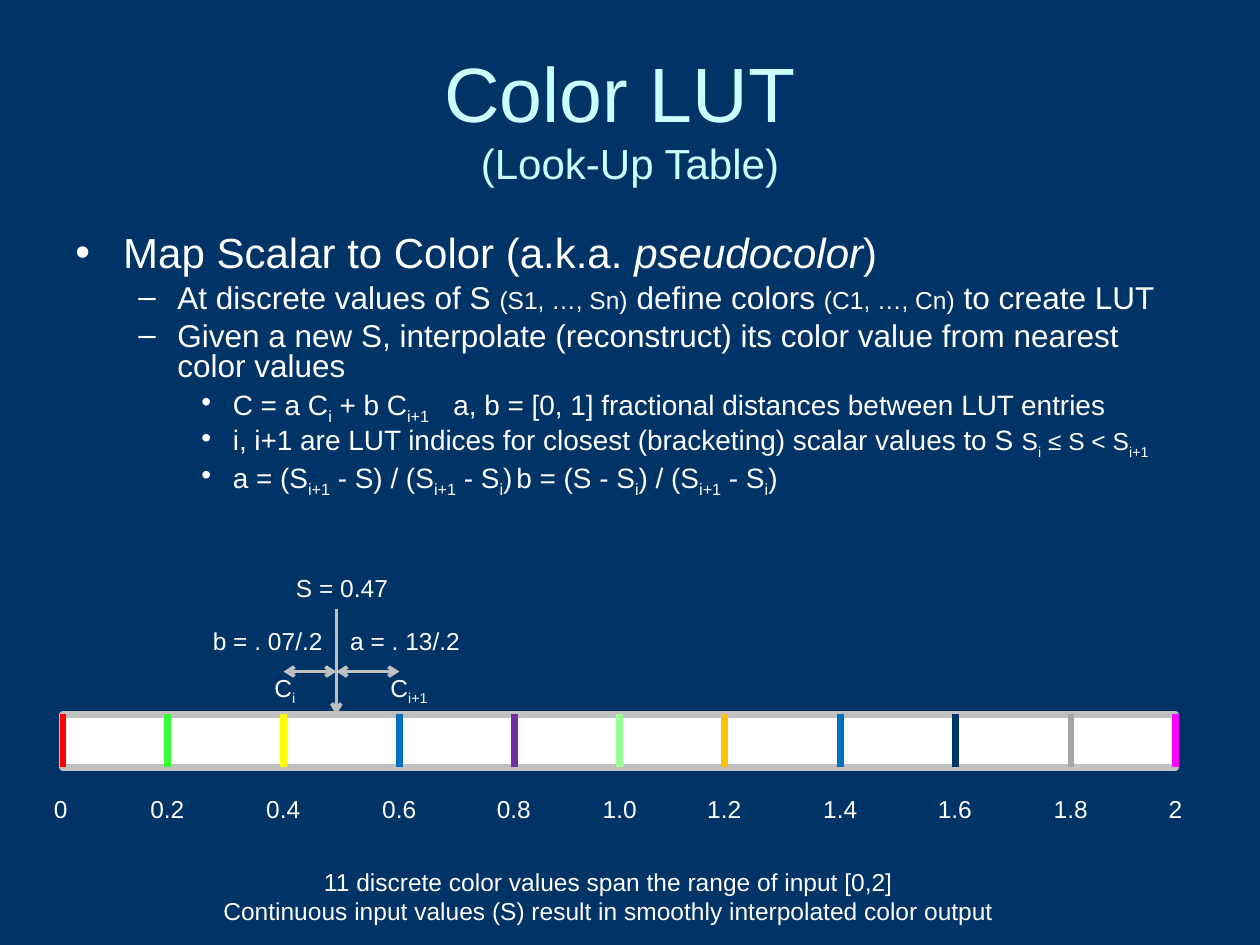
from dataclasses import dataclass

from lxml.etree import SubElement
from pptx import Presentation
from pptx.dml.color import RGBColor
from pptx.enum.shapes import MSO_CONNECTOR as Connector, MSO_SHAPE as Shape
from pptx.enum.text import MSO_ANCHOR as Anchor, PP_ALIGN as Align
from pptx.oxml.ns import qn
from pptx.util import Inches, Pt

NAVY = RGBColor(0x00, 0x33, 0x66)
PALE_CYAN = RGBColor(0xCC, 0xFF, 0xFF)
WHITE = RGBColor(0xFF, 0xFF, 0xFF)
SILVER = RGBColor(0xC0, 0xC0, 0xC0)
RED = RGBColor(0xFF, 0x00, 0x00)
GREEN = RGBColor(0x37, 0xFF, 0x37)
YELLOW = RGBColor(0xFF, 0xFF, 0x00)
BLUE = RGBColor(0x00, 0x70, 0xC0)
PURPLE = RGBColor(0x70, 0x30, 0xA0)
LIGHT_GREEN = RGBColor(0x99, 0xFF, 0x99)
AMBER = RGBColor(0xFF, 0xC0, 0x00)
GRAY = RGBColor(0xA6, 0xA6, 0xA6)
MAGENTA = RGBColor(0xFF, 0x00, 0xFF)

FONT = "Arial"
INSET = 0.1
BAR_LEFT, BAR_TOP, BAR_WIDTH, BAR_HEIGHT = 0.5, 5.67, 8.83, 0.42
SAMPLE_X = 2.67
ARROW_Y = 5.33


@dataclass(frozen=True)
class Run:
    text: str  # parts between ~ marks are subscripts
    size: float
    italic: bool = False


@dataclass(frozen=True)
class Bullet:
    level: int
    runs: tuple[Run, ...]
    before: float


@dataclass(frozen=True)
class BulletStyle:
    char: str
    margin: float
    hanging: float
    spacing: float


@dataclass(frozen=True)
class Entry:
    label: str
    x: float
    color: RGBColor


@dataclass(frozen=True)
class Label:
    text: str
    x: float
    y: float
    w: float
    h: float = 0.34
    align: Align = Align.LEFT


STYLES = (
    BulletStyle("•", 0.38, 0.38, 1.0),
    BulletStyle("–", 0.81, 0.31, 0.8),
    BulletStyle("•", 1.25, 0.25, 0.8),
)

BULLETS = (
    Bullet(0, (Run("Map Scalar to Color (a.k.a. ", 24), Run("pseudocolor", 24, True),
               Run(")", 24)), 6),
    Bullet(1, (Run("At discrete values of S ", 18), Run("(S1, …, Sn)", 14),
               Run(" define colors ", 18), Run("(C1, …, Cn)", 14),
               Run(" to create LUT", 18)), 4.5),
    Bullet(1, (Run("Given a new S, interpolate (reconstruct) its color value "
                   "from nearest color values", 18),), 4.5),
    Bullet(2, (Run("C = a C~i~ + b C~i+1~\ta, b = [0, 1] fractional distances "
                   "between LUT entries", 16),), 4),
    Bullet(2, (Run("i, i+1 are LUT indices for closest (bracketing) scalar "
                   "values to S ", 16), Run("S~i~ ≤ S < S~i+1~", 14)), 3.5),
    Bullet(2, (Run("a = (S~i+1~ - S) / (S~i+1~ - S~i~)\t"
                   "b = (S - S~i~) / (S~i+1~ - S~i~)", 16),), 4),
)

ENTRIES = (
    Entry("0", 0.5, RED),
    Entry("0.2", 1.33, GREEN),
    Entry("0.4", 2.25, YELLOW),
    Entry("0.6", 3.17, BLUE),
    Entry("0.8", 4.08, PURPLE),
    Entry("1.0", 4.92, LIGHT_GREEN),
    Entry("1.2", 5.75, AMBER),
    Entry("1.4", 6.67, BLUE),
    Entry("1.6", 7.58, NAVY),
    Entry("1.8", 8.5, GRAY),
    Entry("2", 9.33, MAGENTA),
)

LABELS = (
    Label("S = 0.47", 2.25, 4.5, 1.08),
    Label("b = . 07/.2", 1.58, 4.92, 1.08, align=Align.RIGHT),
    Label("a = . 13/.2", 2.67, 4.92, 1.08, align=Align.RIGHT),
    Label("C~i~", 2.08, 5.29, 0.42, 0.37),
    Label("C~i+1~", 3, 5.29, 0.58, 0.37),
)


def add_text(p, text: str, *, size: float = 14, color: RGBColor = WHITE,
             italic: bool = False) -> None:
    """Append formatted text to a paragraph; ~ marks enclose subscripts."""
    for i, part in enumerate(text.split("~")):
        if not part:
            continue
        r = p.add_run()
        r.text = part
        r.font.name, r.font.size, r.font.italic = FONT, Pt(size), italic
        r.font.color.rgb = color
        if i % 2:
            r._r.get_or_add_rPr().set("baseline", "-25000")


def add_box(s, x: float, y: float, w: float, h: float, anchor: Anchor = Anchor.TOP):
    tf = s.shapes.add_textbox(Inches(x), Inches(y), Inches(w), Inches(h)).text_frame
    tf.word_wrap = True
    tf.vertical_anchor = anchor
    return tf


def add_line(s, x1: float, y1: float, x2: float, y2: float, *, color: RGBColor = SILVER,
             width: float = 2, ends: tuple[str, ...] = ()) -> None:
    """Draw a line with arrowheads at the named ends (headEnd, tailEnd)."""
    line = s.shapes.add_connector(Connector.STRAIGHT, Inches(x1), Inches(y1),
                                  Inches(x2), Inches(y2))
    line.line.color.rgb = color
    line.line.width = Pt(width)
    for end in ends:
        SubElement(line.line._get_or_add_ln(), qn(f"a:{end}"), type="arrow")
    SubElement(line._element.spPr, qn("a:effectLst"))


def format_bullet(p, bullet: Bullet) -> None:
    style = STYLES[bullet.level]
    p.level = bullet.level
    p.line_spacing = style.spacing
    p.space_before = Pt(bullet.before)
    pPr = p._p.get_or_add_pPr()
    pPr.set("marL", str(Inches(style.margin)))
    pPr.set("indent", str(-Inches(style.hanging)))
    SubElement(SubElement(pPr, qn("a:buClr")), qn("a:srgbClr"), val=str(WHITE))
    SubElement(pPr, qn("a:buFont"), typeface=FONT)
    SubElement(pPr, qn("a:buChar"), char=style.char)


def add_title(s) -> None:
    p = add_box(s, 0.5, 0.3, 9, 1.25, Anchor.MIDDLE).paragraphs[0]
    p.alignment = Align.CENTER
    add_text(p, "Color LUT ", size=44, color=PALE_CYAN)
    p.add_line_break()
    add_text(p, "(Look-Up Table)", size=24, color=PALE_CYAN)


def add_bullets(s) -> None:
    tf = add_box(s, 0.5, 1.75, 9, 2.5)
    for i, bullet in enumerate(BULLETS):
        p = tf.add_paragraph() if i else tf.paragraphs[0]
        format_bullet(p, bullet)
        for run in bullet.runs:
            add_text(p, run.text, size=run.size, italic=run.italic)


def add_color_bar(s) -> None:
    bar = s.shapes.add_shape(Shape.RECTANGLE, Inches(BAR_LEFT), Inches(BAR_TOP),
                             Inches(BAR_WIDTH), Inches(BAR_HEIGHT))
    bar.shadow.inherit = False
    bar.fill.solid()
    bar.fill.fore_color.rgb = WHITE
    bar.line.color.rgb = SILVER
    bar.line.width = Pt(4)
    SubElement(bar.line._get_or_add_ln(), qn("a:round"))
    for entry in ENTRIES:
        add_line(s, entry.x, BAR_TOP, entry.x, BAR_TOP + BAR_HEIGHT,
                 color=entry.color, width=4)


def add_scale(s) -> None:
    """Label the entries in one line, centred on tab stops below the ticks."""
    left = 0.33
    p = add_box(s, left, 6.25, 9.25, 0.34).paragraphs[0]
    tabs = SubElement(p._p.get_or_add_pPr(), qn("a:tabLst"))
    for entry in ENTRIES[1:]:
        SubElement(tabs, qn("a:tab"), pos=str(Inches(entry.x - left - INSET)), algn="ctr")
    add_text(p, "\t".join(entry.label for entry in ENTRIES))


def add_sample(s) -> None:
    add_line(s, SAMPLE_X, 4.83, SAMPLE_X, BAR_TOP, ends=("tailEnd",))
    for x1, x2 in ((2.25, SAMPLE_X), (SAMPLE_X, 3.17)):
        add_line(s, x1, ARROW_Y, x2, ARROW_Y, ends=("headEnd", "tailEnd"))
    for label in LABELS:
        p = add_box(s, label.x, label.y, label.w, label.h).paragraphs[0]
        p.alignment = label.align
        add_text(p, label.text)


def add_caption(s) -> None:
    tf = add_box(s, 0.83, 6.83, 8, 0.57)
    lines = ("11 discrete color values span the range of input [0,2]",
             "Continuous input values (S) result in smoothly interpolated color output")
    for i, line in enumerate(lines):
        p = tf.add_paragraph() if i else tf.paragraphs[0]
        p.alignment = Align.CENTER
        add_text(p, line)


def main() -> None:
    prs = Presentation()
    prs.slide_width, prs.slide_height = Inches(10), Inches(7.5)
    s = prs.slides.add_slide(prs.slide_layouts[6])
    s.background.fill.solid()
    s.background.fill.fore_color.rgb = NAVY
    for draw in (add_title, add_bullets, add_color_bar, add_scale, add_caption, add_sample):
        draw(s)
    prs.save("out.pptx")


if __name__ == "__main__":
    main()
